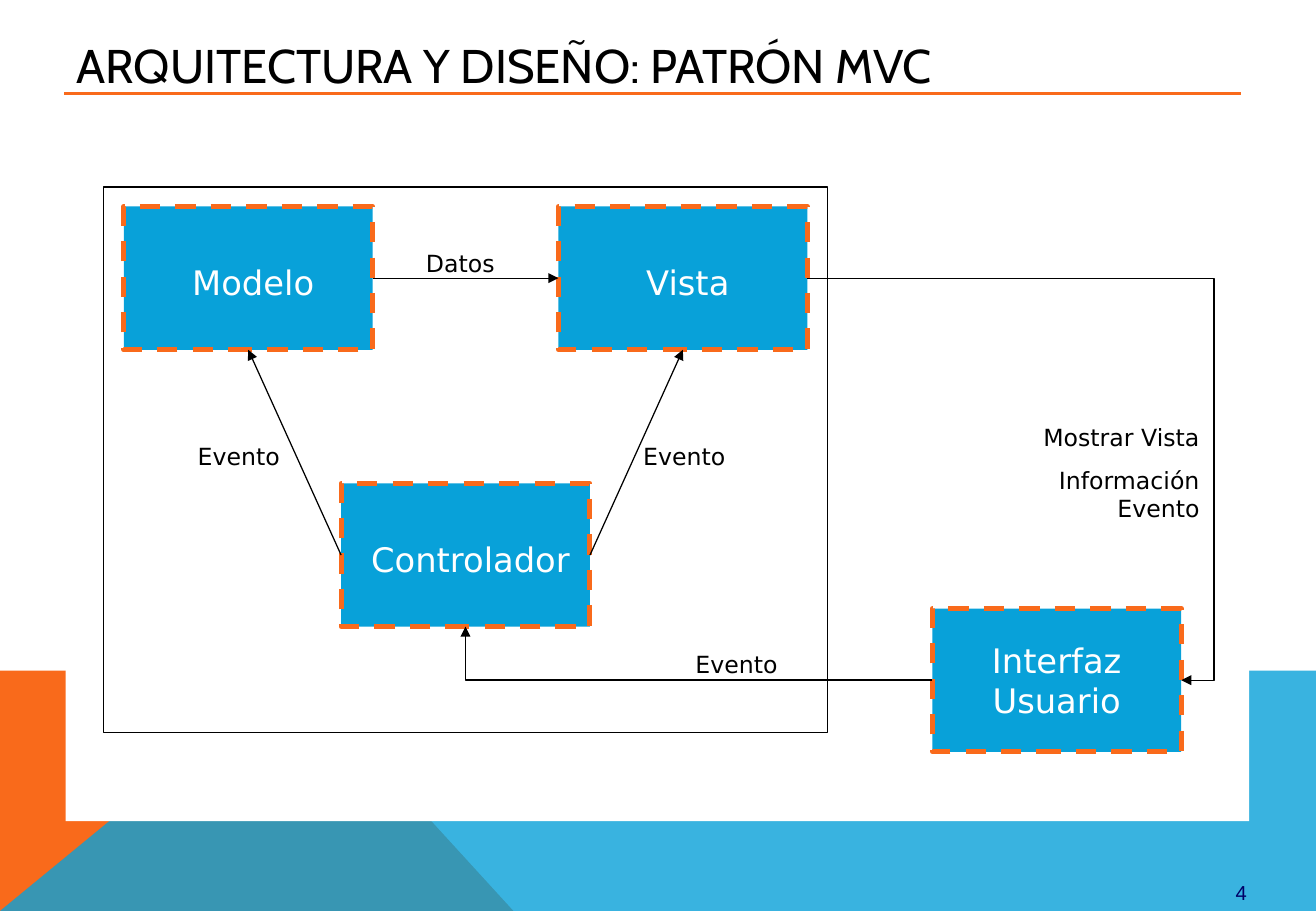
from pptx import Presentation
from pptx.dml.color import RGBColor
from pptx.enum.dml import MSO_LINE
from pptx.enum.shapes import MSO_CONNECTOR as CONNECTOR, MSO_SHAPE as SHAPE
from pptx.enum.text import MSO_ANCHOR as ANCHOR, PP_ALIGN as ALIGN
from pptx.oxml.ns import qn
from pptx.util import Inches, Pt
from lxml import etree

ORANGE = RGBColor(0xF9, 0x6A, 0x1B)
BLUE = RGBColor(0x08, 0xA1, 0xD9)
NAVY = RGBColor(0x00, 0x00, 0x66)
BLACK = RGBColor(0, 0, 0)
WHITE = RGBColor(0xFF, 0xFF, 0xFF)
BODY_FONT = "DejaVu Sans"
WIDTH, HEIGHT = 10.84, 7.5
NODE_WIDTH, NODE_HEIGHT = 2.05, 1.18
TOP, LEFT, BOTTOM, RIGHT = range(4)


def set_font(paragraph, name, size, color):
    """Give a paragraph its font, size and colour."""
    paragraph.font.name = name
    paragraph.font.size = Pt(size)
    paragraph.font.color.rgb = color


def add_band(slide, points, color, opacity=100):
    """Draw a filled outline through points given in inches."""
    corners = [(Inches(x), Inches(y)) for x, y in points]
    builder = slide.shapes.build_freeform(*corners[0])
    builder.add_line_segments(corners[1:], close=True)
    band = builder.convert_to_shape()
    band.shadow.inherit = False
    band.fill.solid()
    band.fill.fore_color.rgb = color
    band.line.fill.background()
    if opacity < 100:
        fill = band._element.spPr.find(qn("a:solidFill"))
        etree.SubElement(fill[0], qn("a:alpha"), val=str(opacity * 1000))


def add_rectangle(slide, left, top, width, height, fill=None, line=None, weight=0.75):
    """Draw a rectangle with an optional fill and outline."""
    box = [Inches(length) for length in (left, top, width, height)]
    rectangle = slide.shapes.add_shape(SHAPE.RECTANGLE, *box)
    rectangle.shadow.inherit = False
    if fill is None:
        rectangle.fill.background()
    else:
        rectangle.fill.solid()
        rectangle.fill.fore_color.rgb = fill
    if line is None:
        rectangle.line.fill.background()
    else:
        rectangle.line.color.rgb = line
        rectangle.line.width = Pt(weight)
    return rectangle


def add_text(slide, text, left, top, width, height, align=ALIGN.LEFT,
             font=BODY_FONT, size=14, color=BLACK):
    """Place a wrapping text box with one paragraph per line of text."""
    box = [Inches(length) for length in (left, top, width, height)]
    frame = slide.shapes.add_textbox(*box).text_frame
    frame.word_wrap = True
    frame.text = text
    for paragraph in frame.paragraphs:
        paragraph.alignment = align
        set_font(paragraph, font, size, color)
    for paragraph in frame.paragraphs[1:]:
        paragraph.space_before = Pt(8.8)


def add_line(slide, kind, color, weight, begin=(0, 0), end=(0, 0)):
    """Draw a connector without a shadow."""
    ends = [Inches(length) for length in (*begin, *end)]
    line = slide.shapes.add_connector(kind, *ends)
    line.line.color.rgb = color
    line.line.width = Pt(weight)
    etree.SubElement(line._element.spPr, qn("a:effectLst"))
    return line


def add_arrow(slide, source, source_side, target, target_side, kind=CONNECTOR.STRAIGHT):
    """Join the sides of two nodes with an arrow."""
    arrow = add_line(slide, kind, BLACK, 0.75)
    arrow.begin_connect(source, source_side)
    arrow.end_connect(target, target_side)
    etree.SubElement(arrow.line._get_or_add_ln(), qn("a:tailEnd"), type="triangle")
    return arrow


def add_node(slide, text, left, top, shift_x=0.0, shift_y=0.0):
    """Draw a dashed component box with a centred name."""
    node = add_rectangle(slide, left, top, NODE_WIDTH, NODE_HEIGHT, BLUE, ORANGE, 3)
    node.line.dash_style = MSO_LINE.DASH
    frame = node.text_frame
    frame.word_wrap = True
    frame.vertical_anchor = ANCHOR.MIDDLE
    frame.margin_left = Inches(0.1 + shift_x)
    frame.margin_top = Inches(0.05 + shift_y)
    frame.text = text
    for paragraph in frame.paragraphs:
        paragraph.alignment = ALIGN.CENTER
        set_font(paragraph, BODY_FONT, 20, WHITE)
    return node


def add_background(slide, top):
    """Draw the coloured bands, the page number and the white panel."""
    add_band(slide, [(0, HEIGHT), (0, top), (2.42, top), (4.23, HEIGHT)], ORANGE)
    add_band(slide, [(0, HEIGHT), (2.41, top), (WIDTH, top), (WIDTH, HEIGHT)], BLUE, 80)
    add_text(slide, "4", 10.08, 7.2, 0.58, 0.3, font="Arial", size=12, color=NAVY)
    add_rectangle(slide, 0.54, 0.74, 9.75, 6.02, WHITE)


def add_title(slide, left, width, height):
    """Fill the title placeholder and underline it."""
    title = slide.shapes.title
    title.left, title.top = Inches(left), Inches(0)
    title.width, title.height = Inches(width), Inches(height)
    frame = title.text_frame
    frame.vertical_anchor = ANCHOR.MIDDLE
    frame.text = "ARQUITECTURA Y DISEÑO: PATRÓN MVC"
    frame.paragraphs[0].alignment = ALIGN.LEFT
    set_font(frame.paragraphs[0], "Cabin", 28, BLACK)
    add_line(slide, CONNECTOR.STRAIGHT, ORANGE, 2, (left, 0.77), (10.22, 0.77))


def add_diagram(slide, left, top):
    """Draw the MVC components, their arrows and labels from a corner."""
    add_rectangle(slide, left, top, 5.97, 4.49, line=BLACK)
    interface = add_node(slide, "Interfaz\nUsuario", left + 6.83, top + 3.47)
    view, model, controller = [
        add_node(slide, name, left + x, top + y, 0.08, 0.07)
        for name, x, y in (("Vista", 3.75, 0.16), ("Modelo", 0.17, 0.16),
                           ("Controlador", 1.96, 2.44))]

    add_arrow(slide, controller, LEFT, model, BOTTOM)
    add_arrow(slide, controller, RIGHT, view, BOTTOM)
    add_arrow(slide, model, RIGHT, view, LEFT)
    show = add_arrow(slide, view, RIGHT, interface, RIGHT, CONNECTOR.ELBOW)
    show.adjustments_xml = None
    geometry = show._element.spPr.find(qn("a:prstGeom"))
    etree.SubElement(geometry.get_or_add_avLst(), qn("a:gd"),
                     name="adj1", fmla="val 108800")
    event = add_arrow(slide, interface, LEFT, controller, BOTTOM, CONNECTOR.ELBOW)
    event._element.spPr.find(qn("a:prstGeom")).set("prst", "bentConnector2")

    for text, x, y in (("Evento", 4.35, 2.05), ("Evento", 0.68, 2.05),
                       ("Datos", 2.56, 0.46), ("Evento", 4.78, 3.76)):
        add_text(slide, text, left + x, top + y, 1.11, 0.34)
    add_text(slide, "Mostrar Vista\nInformación Evento", left + 7.51, top + 1.89,
             1.62, 0.92, ALIGN.RIGHT)


def main():
    """Build the slide and save it."""
    presentation = Presentation()
    presentation.slide_width = Inches(WIDTH)
    presentation.slide_height = Inches(HEIGHT)
    slide = presentation.slides.add_slide(presentation.slide_layouts[5])
    add_background(slide, 5.52)
    add_title(slide, 0.53, 8.92, 1.07)
    add_diagram(slide, 0.85, 1.54)
    presentation.save("out.pptx")


if __name__ == "__main__":
    main()
